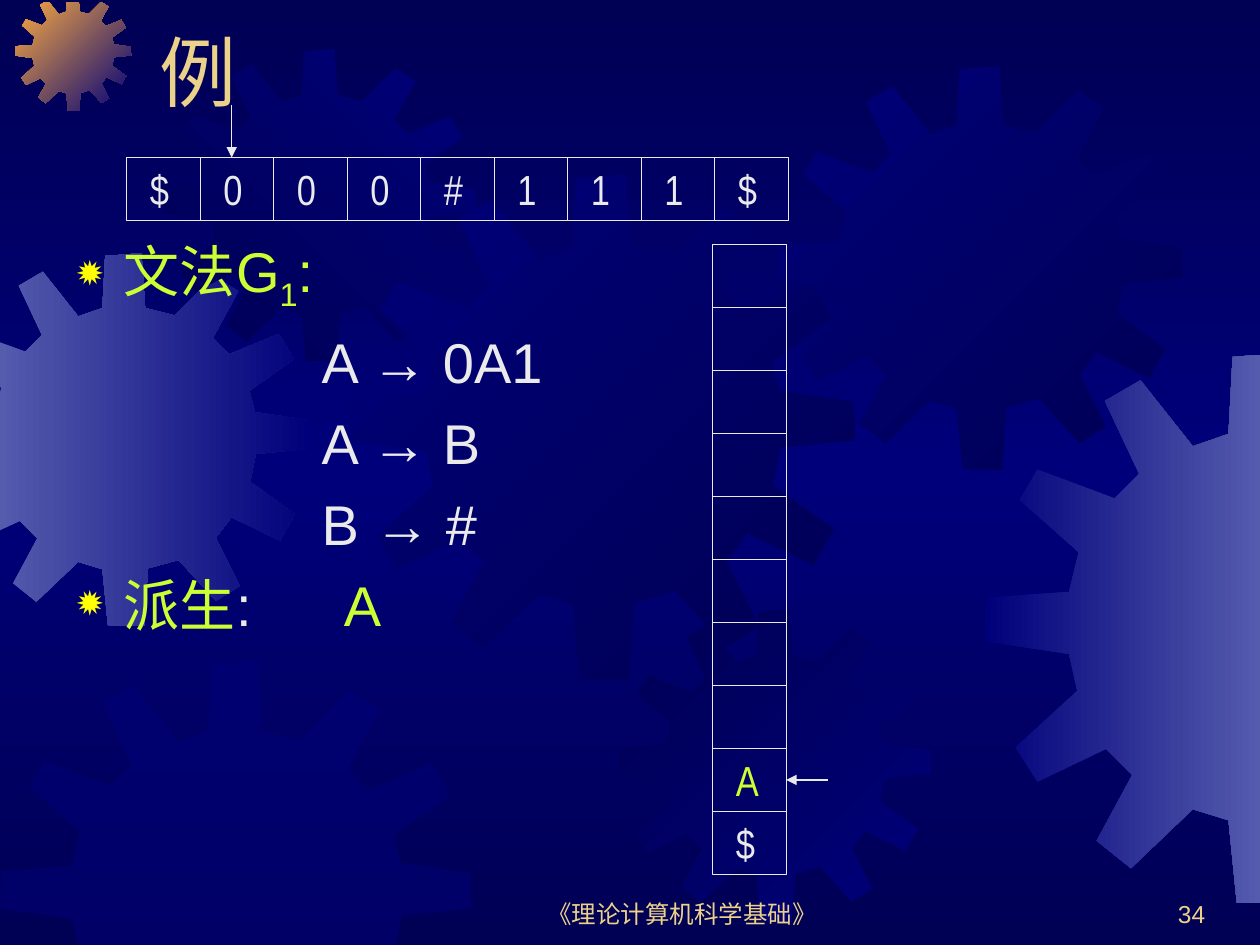
"""Build the pushdown-automaton example slide: input tape, grammar and stack."""
from copy import deepcopy

from lxml import etree
from pptx import Presentation
from pptx.dml.color import RGBColor
from pptx.enum.shapes import MSO_CONNECTOR, MSO_SHAPE
from pptx.enum.text import MSO_ANCHOR, PP_ALIGN
from pptx.oxml.ns import qn
from pptx.util import Pt

RECTANGLE, STRAIGHT = MSO_SHAPE.RECTANGLE, MSO_CONNECTOR.STRAIGHT
TOP, BOTTOM = MSO_ANCHOR.TOP, MSO_ANCHOR.BOTTOM
LEFT, CENTER, RIGHT = PP_ALIGN.LEFT, PP_ALIGN.CENTER, PP_ALIGN.RIGHT
NAVY, BLUE, STEEL, ORANGE = "000054", "00007A", "555BAD", "FCAB40"
GOLD, LIME, WHITE, YELLOW = "EBD189", "CCFF33", "EAEAEA", "FFFF00"
rgb = RGBColor.from_string

prs = Presentation()
prs.slide_width, prs.slide_height = Pt(720), Pt(540)
slide = prs.slides.add_slide(prs.slide_layouts[6])


def paint_gradient(fill, colours, angle):
    """Fill with evenly spaced colours along a clockwise angle."""
    fill.gradient()
    fill.gradient_angle = -angle % 360
    stop_list = fill.gradient_stops[0]._gs.getparent()
    while len(stop_list) < len(colours):
        stop_list.append(deepcopy(stop_list[-1]))
    for i, (stop, colour) in enumerate(zip(fill.gradient_stops, colours)):
        stop.color.rgb = rgb(colour)
        stop.position = i / (len(colours) - 1)


paint_gradient(slide.background.fill, [NAVY, BLUE, NAVY], 90)

GEAR_SIZE = 401
GEAR = [
    (255, 67), (223, 59), (219, 0), (180, 3), (177, 59), (151, 68), (113, 20), (87, 35),
    (112, 88), (94, 106), (38, 85), (25, 107), (68, 145), (61, 174), (1, 178), (0, 210),
    (61, 219), (67, 246), (22, 287), (38, 312), (88, 288), (107, 307), (81, 355), (106, 375),
    (151, 332), (177, 340), (183, 400), (222, 401), (226, 339), (259, 330), (299, 374), (325, 358),
    (299, 306), (316, 284), (368, 309), (384, 281), (336, 246), (342, 216), (401, 210), (400, 180),
    (341, 171), (335, 148), (383, 114), (367, 87), (313, 109), (296, 91), (323, 41), (297, 25),
]
GEARS = [
    (-35.5, 144.7, 213, [STEEL, BLUE], 0),
    (8.6, -3, 66.3, [ORANGE, BLUE], 45),
    (93.6, 28, 178.5, [NAVY, BLUE], 315),
    (199.5, 100, 289, [BLUE, NAVY], 45),
    (0, 378, 269.5, [BLUE], 0),
    (353.5, 348.5, 178.5, [NAVY, BLUE], 45),
    (445, 38, 230.5, [BLUE, NAVY], 45),
    (563, 201.6, 315, [BLUE, STEEL], 0),
]
EDGES = [(0, 1, -0.7), (0, -1, -720.7), (1, 1, 1.2), (1, -1, -543)]

for left, top, size, colours, angle in GEARS:
    outline = [(left + x * size / GEAR_SIZE, top + y * size / GEAR_SIZE) for x, y in GEAR]
    for axis, sign, limit in EDGES:
        clipped = []
        for start, end in zip(outline[-1:] + outline[:-1], outline):
            before, after = sign * start[axis] - limit, sign * end[axis] - limit
            if (before >= 0) != (after >= 0):
                share = before / (before - after)
                clipped.append(tuple(a + share * (b - a) for a, b in zip(start, end)))
            if after >= 0:
                clipped.append(end)
        outline = clipped
    points = [(Pt(x), Pt(y)) for x, y in outline]
    builder = slide.shapes.build_freeform(*points[0])
    builder.add_line_segments(points[1:])
    gear = builder.convert_to_shape()
    gear.shadow.inherit = False
    gear.line.fill.background()
    if len(colours) > 1:
        paint_gradient(gear.fill, colours, angle)
    else:
        gear.fill.solid()
        gear.fill.fore_color.rgb = rgb(colours[0])
        tint = gear._element.spPr.find(qn("a:solidFill"))[0]
        etree.SubElement(tint, qn("a:alpha")).set("val", "50000")

for text, left, top, width, height, size, align in [
    ("《理论计算机科学基础》", 275.8, 498, 228, 36, 14, CENTER),
    ("34", 545.8, 498, 150, 36, 14, RIGHT),
    ("例", 84.2, -19.4, 612, 90, 44, LEFT),
]:
    frame = slide.shapes.add_textbox(Pt(left), Pt(top), Pt(width), Pt(height)).text_frame
    frame.word_wrap = True
    frame.vertical_anchor = BOTTOM
    line = frame.paragraphs[0]
    line.text = text
    line.alignment = align
    line.font.size = Pt(size)
    line.font.name = "Arial"
    line.font.color.rgb = rgb(GOLD)

grammar = slide.shapes.add_textbox(Pt(36.7), Pt(131.8), Pt(401), Pt(366)).text_frame
grammar.word_wrap = True
for i, (bulleted, runs) in enumerate([
    (True, [("文法G", LIME, 0), ("1", LIME, -25), (":", LIME, 0)]),
    (False, [("A → 0A1", WHITE, 0)]),
    (False, [("A → B", WHITE, 0)]),
    (False, [("B → #", WHITE, 0)]),
    (True, [("派生", LIME, 0), (":\t", WHITE, 0), ("A", LIME, 0)]),
]):
    line = grammar.add_paragraph() if i else grammar.paragraphs[0]
    props = line._p.get_or_add_pPr()
    props.set("marL", str(Pt(27 if bulleted else 140)))
    props.set("indent", str(Pt(-27 if bulleted else 0)))
    if bulleted:
        bullet_colour = etree.SubElement(props, qn("a:buClr"))
        etree.SubElement(bullet_colour, qn("a:srgbClr")).set("val", YELLOW)
        etree.SubElement(props, qn("a:buSzPct")).set("val", "80000")
        etree.SubElement(props, qn("a:buChar")).set("char", "✹")
        tabs = etree.SubElement(props, qn("a:tabLst"))
        etree.SubElement(tabs, qn("a:tab"), pos=str(Pt(152.7)), algn="l")
    if i:
        line.space_before = Pt(8)
    line.font.size = Pt(32)
    line.font.name = "Arial"
    for text, colour, baseline in runs:
        run = line.add_run()
        run.text = text
        run.font.color.rgb = rgb(colour)
        if baseline:
            run.font._element.set("baseline", str(baseline * 1000))

CELL_WIDTH, CELL_HEIGHT = 42, 36
tape = [(symbol, WHITE) for symbol in "$000#111$"]
stack = [("", WHITE)] * 8 + [("A", LIME), ("$", WHITE)]
for cells, left, top, step_x, step_y, arrow_ends in [
    (tape, 72.5, 90, CELL_WIDTH, 0, (132.4, 60, 132.4, 90)),
    (stack, 407.3, 139.7, 0, CELL_HEIGHT, (473.2, 445.7, 449.3, 445.7)),
]:
    group = slide.shapes.add_group_shape()
    for i, (symbol, colour) in enumerate(cells):
        cell = group.shapes.add_shape(RECTANGLE, Pt(left + i * step_x), Pt(top + i * step_y),
                                      Pt(CELL_WIDTH), Pt(CELL_HEIGHT))
        cell.shadow.inherit = False
        cell.fill.background()
        cell.line.color.rgb = rgb(WHITE)
        cell.line.width = Pt(0.75)
        if symbol:
            frame = cell.text_frame
            frame.vertical_anchor = TOP
            frame.margin_left, frame.margin_right = Pt(13.2), 0
            line = frame.paragraphs[0]
            line.text = symbol
            line.alignment = LEFT
            line.font.size = Pt(24)
            line.font.name = "Arial Narrow"
            line.font.color.rgb = rgb(colour)
    head = group.shapes.add_connector(STRAIGHT, *map(Pt, arrow_ends))
    head.line.color.rgb = rgb(WHITE)
    head.line.width = Pt(0.75)
    etree.SubElement(head.line._get_or_add_ln(), qn("a:tailEnd")).set("type", "triangle")
    etree.SubElement(head._element.spPr, qn("a:effectLst"))

prs.save("out.pptx")
